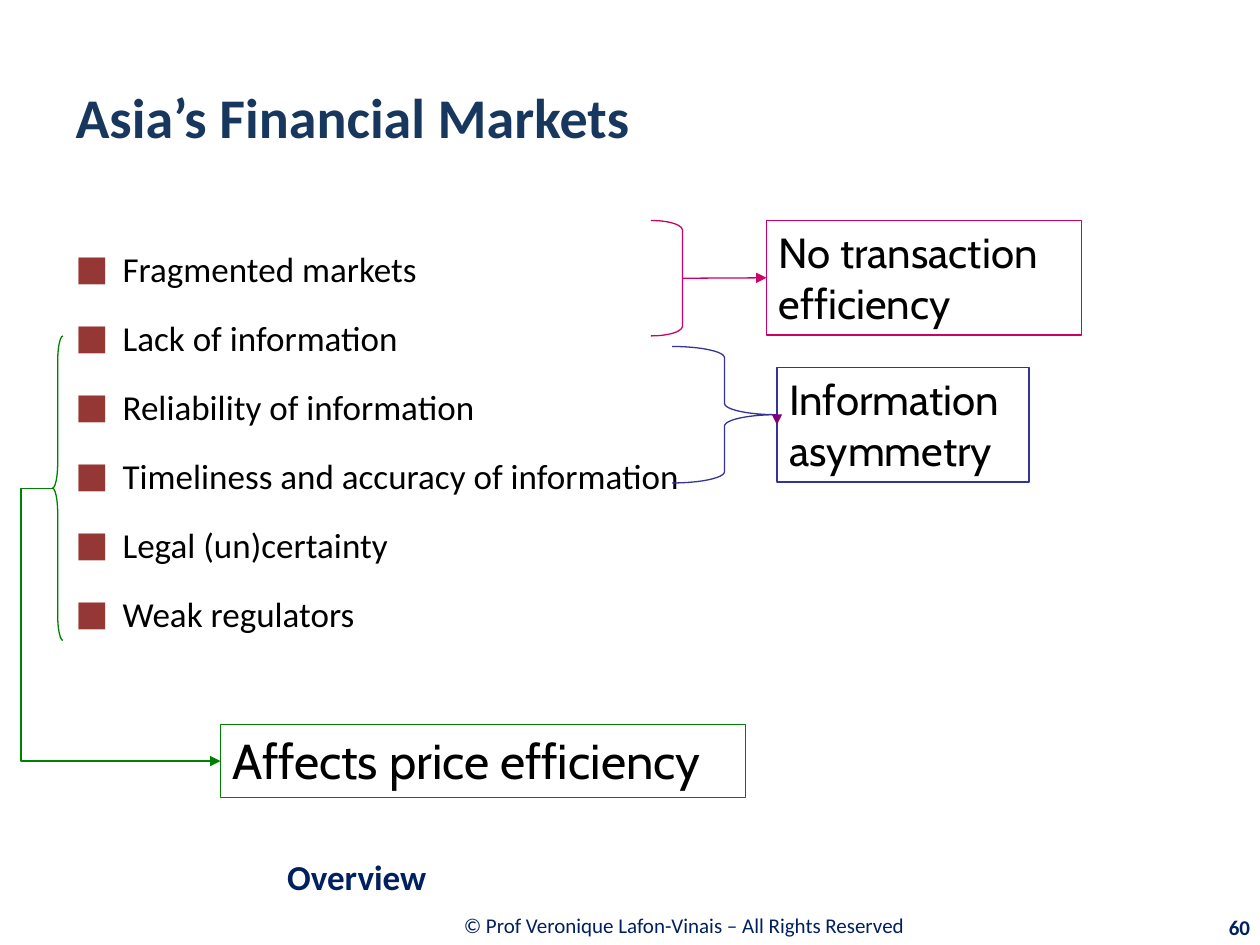
"""Build the slide on Asia's financial markets and their inefficiencies."""
from dataclasses import dataclass

from lxml import etree
from pptx import Presentation
from pptx.dml.color import RGBColor
from pptx.enum.shapes import MSO_CONNECTOR, MSO_SHAPE
from pptx.enum.text import MSO_ANCHOR, PP_ALIGN
from pptx.oxml.ns import qn
from pptx.util import Pt

LEFT, CENTER, RIGHT = PP_ALIGN.LEFT, PP_ALIGN.CENTER, PP_ALIGN.RIGHT
TOP, MIDDLE = MSO_ANCHOR.TOP, MSO_ANCHOR.MIDDLE
STRAIGHT, ELBOW = MSO_CONNECTOR.STRAIGHT, MSO_CONNECTOR.ELBOW
RECTANGLE = MSO_SHAPE.RECTANGLE
LEFT_BRACE, RIGHT_BRACE = MSO_SHAPE.LEFT_BRACE, MSO_SHAPE.RIGHT_BRACE
RIGHT_BRACKET = MSO_SHAPE.RIGHT_BRACKET


@dataclass(frozen=True)
class Theme:
    body_font: str = "Calibri"
    callout_font: str = "Cabin"
    title: str = "17375E"
    footer: str = "002060"
    text: str = "000000"
    bullet: str = "953735"
    price: str = "008000"
    information: str = "333399"
    marker: str = "800080"
    transaction: str = "CC0066"
    title_size: int = 32
    large_size: int = 28
    callout_size: int = 24
    body_size: int = 20
    small_size: int = 12
    line_width: float = 0.75


THEME = Theme()

TITLE = ("Asia’s Financial Markets", (36, 21.6, 648, 90))
ISSUES = [
    "Fragmented markets",
    "Lack of information",
    "Reliability of information",
    "Timeliness and accuracy of information",
    "Legal (un)certainty",
    "Weak regulators",
]
ISSUES_AREA = (36, 126, 648, 356.4)
CALLOUTS = [
    ("Affects price efficiency", (126, 414, 300, 41.8), THEME.large_size, THEME.price),
    ("Information asymmetry", (444, 210, 144, 65.5), THEME.callout_size, THEME.information),
    ("No transaction efficiency", (438, 126, 180, 65.5), THEME.callout_size, THEME.transaction),
]
GROUPINGS = [
    (LEFT_BRACE, (30, 192, 6, 174), (2.417, 0.5), THEME.price),
    (RIGHT_BRACE, (384, 198, 60, 78), (0.108, 0.5), THEME.information),
    (RIGHT_BRACKET, (372, 126, 18, 66), (0.306,), THEME.transaction),
]
ARROWS = [
    (ELBOW, (30, 279, 126, 434.9), -0.188, THEME.price),
    (STRAIGHT, (444, 237, 444, 242.75), None, THEME.marker),
    (STRAIGHT, (390, 159, 438, 158.75), None, THEME.transaction),
]
LABELS = [
    ("© Prof Veronique Lafon-Vinais – All Rights Reserved", (157.7, 514.8, 466.5, 28), THEME.small_size, False, CENTER),
    ("Overview", (157, 483.8, 563, 33.8), THEME.body_size, True, LEFT),
    ("60", (648.7, 518.4, 72.7, 23), THEME.small_size, True, RIGHT),
]


def points(values):
    return [Pt(value) for value in values]


def add_span(para, text, size, color, font=THEME.body_font, bold=False):
    span = para.add_run()
    span.text = text
    span.font.name, span.font.size, span.font.bold = font, Pt(size), bold
    span.font.color.rgb = RGBColor.from_string(color)


def prepare_frame(shape, anchor, align=LEFT):
    frame = shape.text_frame
    frame.word_wrap = True
    frame.vertical_anchor = anchor
    frame.paragraphs[0].alignment = align
    return frame


def style_line(shape, color):
    shape.line.color.rgb = RGBColor.from_string(color)
    shape.line.width = Pt(THEME.line_width)


def add_outline(page, kind, area, color):
    shape = page.shapes.add_shape(kind, *points(area))
    shape.shadow.inherit = False
    shape.fill.background()
    style_line(shape, color)
    return shape


def add_title(page):
    text, area = TITLE
    title = page.shapes.title
    title.left, title.top, title.width, title.height = points(area)
    para = prepare_frame(title, MIDDLE).paragraphs[0]
    add_span(para, text, THEME.title_size, THEME.title, bold=True)


def add_bullet(para):
    properties = para._p.get_or_add_pPr()
    properties.set("marL", str(Pt(27)))
    properties.set("indent", str(-Pt(27)))
    color = etree.SubElement(properties, qn("a:buClr"))
    etree.SubElement(color, qn("a:srgbClr"), val=THEME.bullet)
    etree.SubElement(properties, qn("a:buFont"), typeface=THEME.body_font)
    etree.SubElement(properties, qn("a:buChar"), char="■")


def add_issues(page):
    frame = prepare_frame(page.shapes.add_textbox(*points(ISSUES_AREA)), TOP)
    for index, issue in enumerate(ISSUES):
        para = frame.add_paragraph() if index else frame.paragraphs[0]
        para.line_spacing = 1.5
        para.space_before = Pt(3.4)
        add_bullet(para)
        add_span(para, issue, THEME.body_size, THEME.text)


def add_callout(page, text, area, size, color):
    box = add_outline(page, RECTANGLE, area, color)
    para = prepare_frame(box, TOP).paragraphs[0]
    add_span(para, text, size, THEME.text, THEME.callout_font)


def add_grouping(page, kind, area, adjustments, color):
    shape = add_outline(page, kind, area, color)
    for index, value in enumerate(adjustments):
        shape.adjustments[index] = value


def add_arrow(page, kind, ends, bend, color):
    arrow = page.shapes.add_connector(kind, *points(ends))
    style_line(arrow, color)
    properties = arrow._element.spPr
    etree.SubElement(properties.find(qn("a:ln")), qn("a:tailEnd"), type="triangle")
    etree.SubElement(properties, qn("a:effectLst"))
    if bend is not None:
        guides = properties.find(qn("a:prstGeom")).find(qn("a:avLst"))
        etree.SubElement(guides, qn("a:gd"), name="adj1", fmla=f"val {round(bend * 100000)}")


def add_label(page, text, area, size, bold, align):
    box = page.shapes.add_textbox(*points(area))
    para = prepare_frame(box, MIDDLE, align).paragraphs[0]
    add_span(para, text, size, THEME.footer, bold=bold)


def main():
    deck = Presentation()
    deck.slide_width, deck.slide_height = Pt(720), Pt(540)
    page = deck.slides.add_slide(deck.slide_layouts[5])
    add_title(page)
    add_issues(page)
    for add_part, parts in (
        (add_grouping, GROUPINGS),
        (add_callout, CALLOUTS),
        (add_arrow, ARROWS),
        (add_label, LABELS),
    ):
        for part in parts:
            add_part(page, *part)
    deck.save("out.pptx")


if __name__ == "__main__":
    main()
